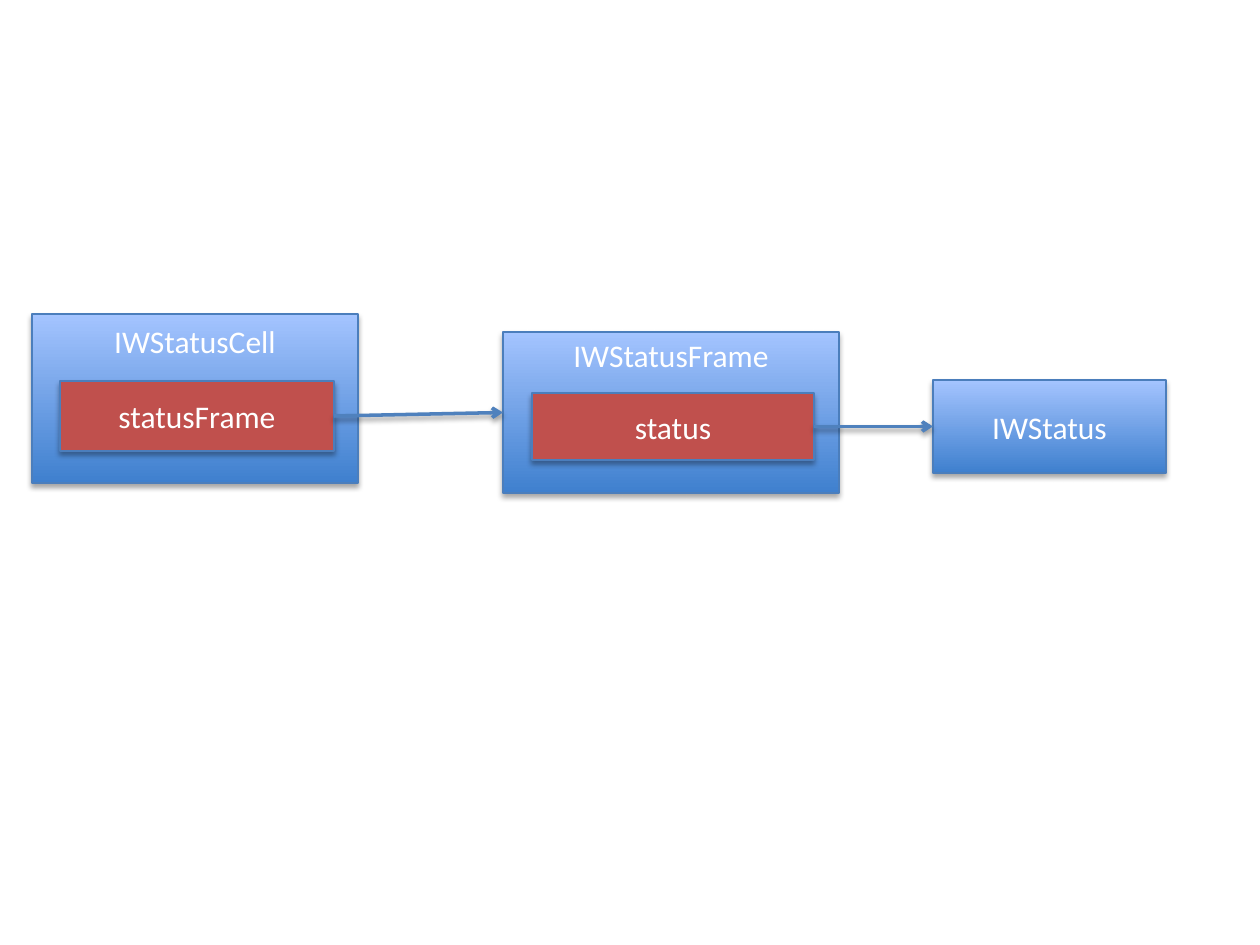
"""Build a slide showing how a status cell refers to its frame and status."""
from dataclasses import dataclass

from lxml.etree import SubElement
from pptx import Presentation
from pptx.dml.color import RGBColor
from pptx.enum.shapes import MSO_CONNECTOR, MSO_SHAPE
from pptx.enum.text import MSO_ANCHOR, PP_ALIGN
from pptx.oxml import parse_xml
from pptx.oxml.ns import nsdecls, qn
from pptx.util import Inches, Pt

PX = Inches(1) / 126


@dataclass(frozen=True)
class Theme:
    font: str = "Calibri"
    size: int = 18
    text: str = "FFFFFF"
    gradient: tuple = ("3F80CE", "A4C4FF")
    member: str = "C0504D"
    border: str = "4B7EBC"
    border_width: float = 0.75
    arrow: str = "4F81BD"
    arrow_width: float = 2
    shadow: str = "000000"
    box_shadow: int = 35
    arrow_shadow: int = 38


THEME = Theme()


def px(n):
    return round(n * PX)


def rgb(value):
    return RGBColor.from_string(value)


def set_line(s, color, width):
    s.line.color.rgb = rgb(color)
    s.line.width = Pt(width)


def add_shadow(s, alpha):
    s._element.spPr.append(parse_xml(
        f'<a:effectLst {nsdecls("a")}>'
        f'<a:outerShdw blurRad="{Pt(3.1)}" dist="{Pt(1.8)}" dir="5400000" rotWithShape="0">'
        f'<a:srgbClr val="{THEME.shadow}"><a:alpha val="{alpha * 1000}"/></a:srgbClr>'
        '</a:outerShdw></a:effectLst>'))


def add_label(s, text, anchor, inset):
    tf = s.text_frame
    tf.text = text
    tf.word_wrap = True
    tf.vertical_anchor = anchor
    tf.margin_top = tf.margin_bottom = px(inset)
    p = tf.paragraphs[0]
    p.alignment = PP_ALIGN.CENTER
    font = p.runs[0].font
    font.name = THEME.font
    font.size = Pt(THEME.size)
    font.color.rgb = rgb(THEME.text)


def add_box(shapes, text, box, anchor=MSO_ANCHOR.MIDDLE, inset=6):
    s = shapes.add_shape(MSO_SHAPE.RECTANGLE, *map(px, box))
    set_line(s, THEME.border, THEME.border_width)
    add_shadow(s, THEME.box_shadow)
    add_label(s, text, anchor, inset)
    return s


def add_class(shapes, text, box, **label):
    s = add_box(shapes, text, box, **label)
    s.fill.gradient()
    s.fill.gradient_angle = 90
    for stop, color in zip(s.fill.gradient_stops, THEME.gradient):
        stop.color.rgb = rgb(color)
    return s


def add_member(shapes, text, box):
    s = add_box(shapes, text, box)
    s.fill.solid()
    s.fill.fore_color.rgb = rgb(THEME.member)
    return s


def add_owner(slide, text, box, inset, member, member_box):
    group = slide.shapes.add_group_shape()
    owner = add_class(group.shapes, text, box, anchor=MSO_ANCHOR.TOP, inset=inset)
    return owner, add_member(group.shapes, member, member_box)


def add_arrow(slide, start, end):
    s = slide.shapes.add_connector(MSO_CONNECTOR.STRAIGHT, 0, 0, 0, 0)
    s.begin_connect(start, 3)
    s.end_connect(end, 1)
    set_line(s, THEME.arrow, THEME.arrow_width)
    SubElement(s.line._get_or_add_ln(), qn("a:tailEnd"), type="arrow")
    add_shadow(s, THEME.arrow_shadow)


def main():
    prs = Presentation()
    prs.slide_width, prs.slide_height = Inches(10), Inches(7.5)
    slide = prs.slides.add_slide(prs.slide_layouts[6])
    _, status_frame = add_owner(slide, "IWStatusCell", (32, 314, 326, 169), 8,
                                "statusFrame", (60, 381, 274, 70))
    frame, status = add_owner(slide, "IWStatusFrame", (503, 332, 336, 161), 4,
                              "status", (532, 393, 282, 67))
    status_class = add_class(slide.shapes, "IWStatus", (933, 380, 233, 93))
    add_arrow(slide, status_frame, frame)
    add_arrow(slide, status, status_class)
    prs.save("out.pptx")


if __name__ == "__main__":
    main()
